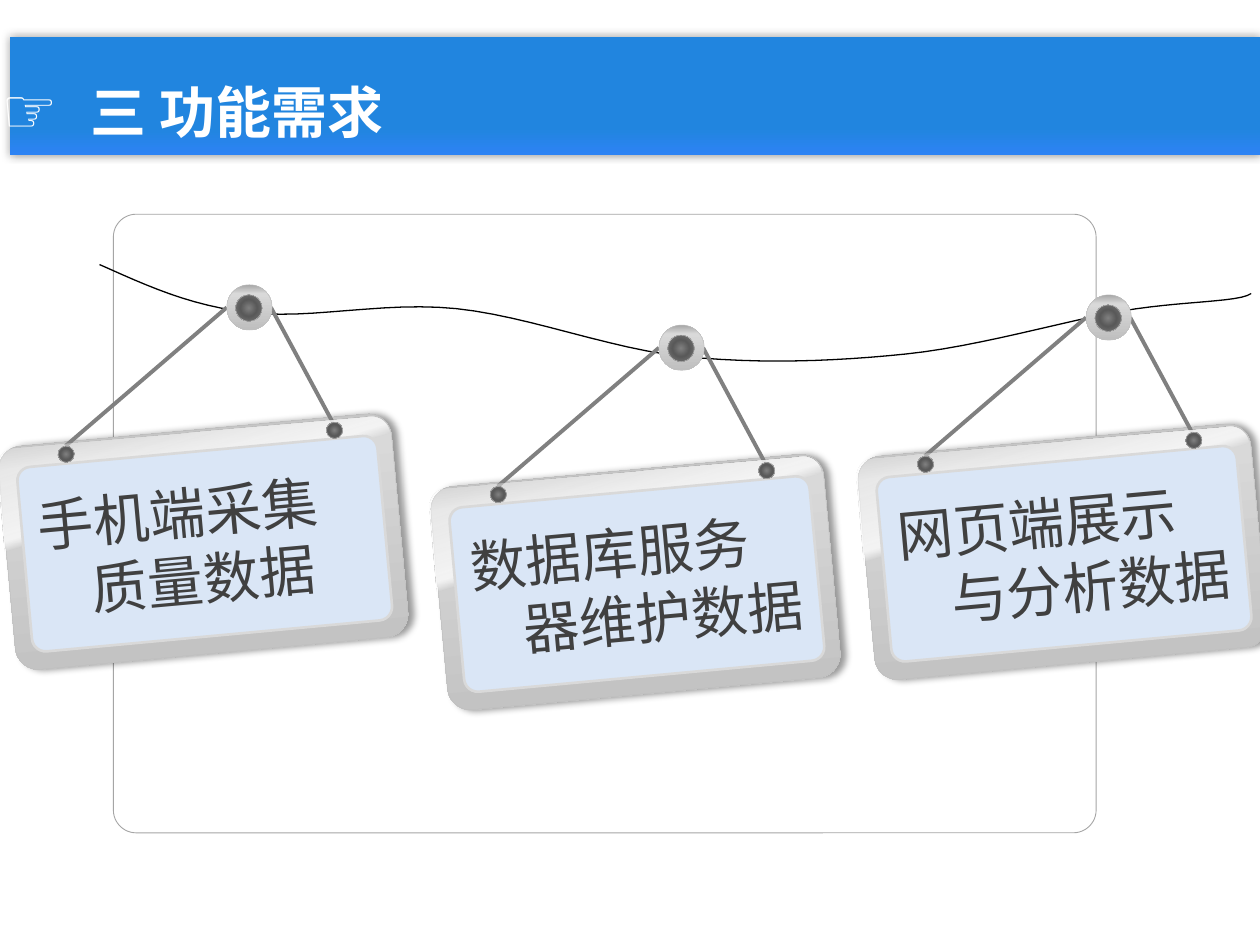
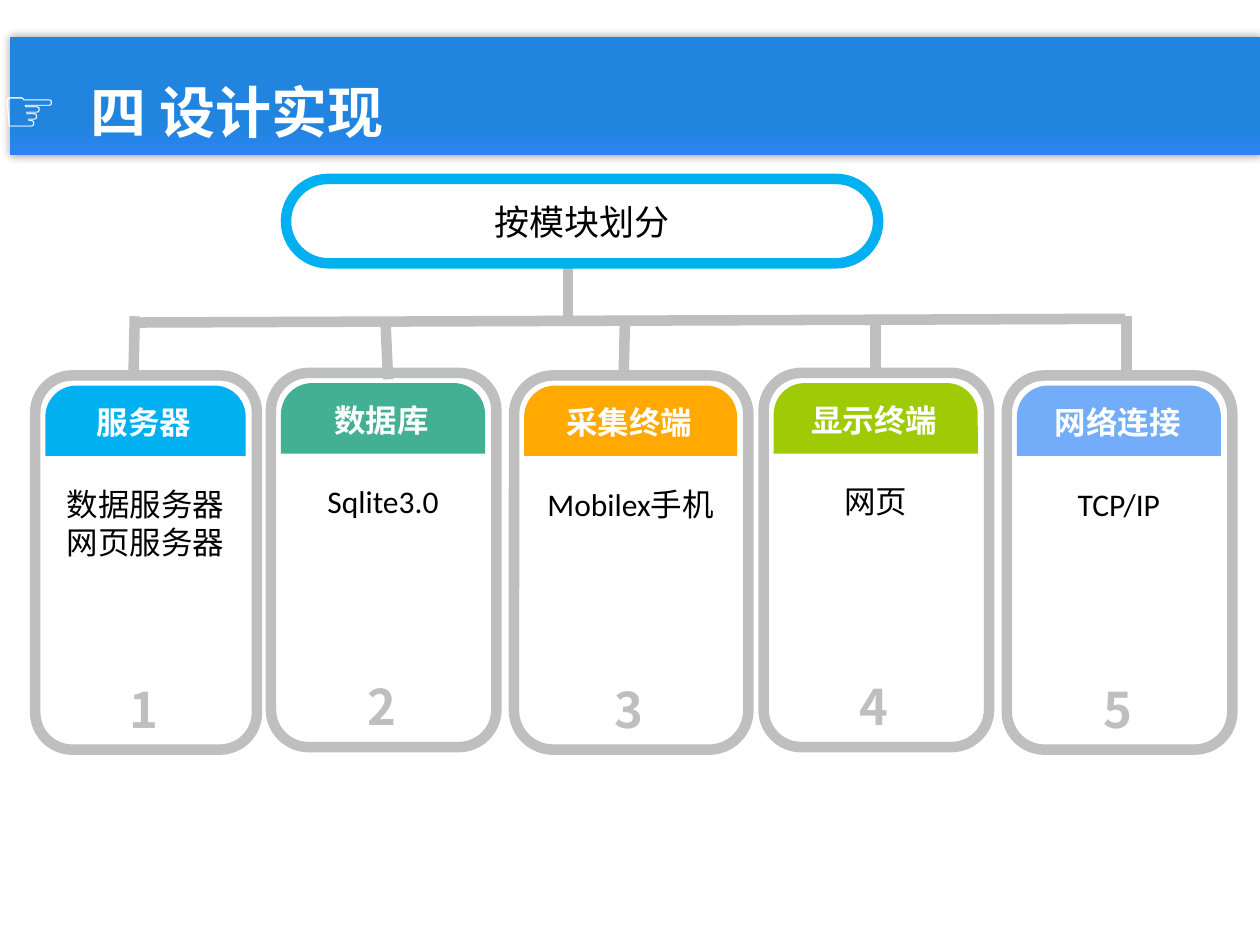
import pptx
import pptx.util
import pptx.oxml
import pptx.oxml.ns
import pptx.dml.color
import pptx.enum.shapes
import pptx.enum.text

Inches = pptx.util.Inches
Pt = pptx.util.Pt
SHAPE = pptx.enum.shapes.MSO_SHAPE
ALIGN = pptx.enum.text.PP_ALIGN
ANCHOR = pptx.enum.text.MSO_ANCHOR
qn = pptx.oxml.ns.qn
NS = 'xmlns:a="http://schemas.openxmlformats.org/drawingml/2006/main"'

COLORS = {
    "white": "FFFFFF", "black": "000000", "ink": "404040",
    "band": "2185DF", "band_end": "2D83F4",
    "outline": "A5A5A5", "metal_dark": "A6A6A6", "metal_light": "D9D9D9",
    "gray": "BFBFBF", "rope": "808080", "nail": "595959",
    "sheen": "F5F5F5", "panel": "DAE6F6",
    "server": "00B0F0", "database": "44B093", "collector": "FFA902",
    "display": "9ECA06", "network": "73ACF8",
}
CJK = "Noto Sans CJK SC"
TILT = 354.7

# Gradients: (direction XML, stops as position, colour, opacity)
PIN_FOCUS = ('<a:path path="circle">'
             '<a:fillToRect l="50000" t="50000" r="50000" b="50000"/></a:path>')
DOWN = '<a:lin ang="5400000" scaled="0"/>'
BAND = (DOWN, [(77, "band", 100), (100, "band_end", 100)])
METAL = (DOWN, [(0, "metal_dark", 100), (20, "metal_light", 100), (100, "gray", 100)])
PIN = (PIN_FOCUS, [(0, "rope", 100), (46, "nail", 100), (100, "rope", 100)])
SHEEN = ('<a:lin ang="4680000" scaled="0"/>',
         [(0, "white", 0), (48, "sheen", 100), (52, "white", 0)])


def rgb(name):
    return pptx.dml.color.RGBColor.from_string(COLORS[name])


def color_xml(name, opacity):
    return (f'<a:srgbClr {NS} val="{COLORS[name]}">'
            f'<a:alpha val="{opacity * 1000}"/></a:srgbClr>')


def fill_gradient(shape, gradient):
    direction, stops = gradient
    stop_xml = "".join(f'<a:gs pos="{position * 1000}">{color_xml(name, opacity)}</a:gs>'
                       for position, name, opacity in stops)
    element = pptx.oxml.parse_xml(
        f'<a:gradFill {NS} rotWithShape="1"><a:gsLst>{stop_xml}</a:gsLst>'
        f'{direction}</a:gradFill>')
    properties = shape._element.spPr
    properties.replace(properties.find(qn("a:solidFill")), element)


def add_part(page, kind, box, fill, line=None, adjust=None, turn=0, opacity=100):
    """Add a preset shape; fill is a colour name or a gradient."""
    shape = page.shapes.add_shape(kind, *(Inches(value) for value in box))
    shape.shadow.inherit = False
    shape.rotation = turn
    if adjust is not None:
        shape.adjustments[0] = adjust
    shape.fill.solid()
    if isinstance(fill, str):
        shape.fill.fore_color.rgb = rgb(fill)
        if opacity < 100:
            solid = shape._element.spPr.find(qn("a:solidFill"))
            solid.replace(solid[0], pptx.oxml.parse_xml(color_xml(fill, opacity)))
    else:
        fill_gradient(shape, fill)
    if line:
        shape.line.color.rgb = rgb(line[0])
        shape.line.width = Pt(line[1])
    else:
        shape.line.fill.background()
    return shape


def add_shadow(shape, blur, distance):
    effects = shape._element.spPr.find(qn("a:effectLst"))
    effects.append(pptx.oxml.parse_xml(
        f'<a:outerShdw {NS} blurRad="{Pt(blur)}" dist="{Pt(distance)}" dir="0" '
        f'algn="ctr" rotWithShape="0">{color_xml("black", 40)}</a:outerShdw>'))


def add_line(page, start, end, color, width):
    line = page.shapes.add_connector(
        pptx.enum.shapes.MSO_CONNECTOR.STRAIGHT,
        *(Inches(value) for value in (*start, *end)))
    line.line.color.rgb = rgb(color)
    line.line.width = Pt(width)
    line._element.spPr.append(pptx.oxml.parse_xml(f"<a:effectLst {NS}/>"))


def add_span(para, text, size, color, font, east=CJK, bold=False):
    span = para.add_run()
    span.text = text
    span.font.size = Pt(size)
    span.font.bold = bold
    span.font.color.rgb = rgb(color)
    span.font.name = font
    span._r.get_or_add_rPr().find(qn("a:latin")).addnext(
        pptx.oxml.parse_xml(f'<a:ea {NS} typeface="{east}"/>'))


def add_text(page, box, lines, size, color, font, bold=False):
    frame = page.shapes.add_textbox(*(Inches(value) for value in box)).text_frame
    frame.word_wrap = True
    for index, line in enumerate(lines):
        para = frame.add_paragraph() if index else frame.paragraphs[0]
        para.alignment = ALIGN.CENTER
        add_span(para, line, size, color, font, bold=bold)


def add_title(page, title):
    # Band
    band = add_part(page, SHAPE.RECTANGLE, (0.08, 0.29, 9.92, 0.94), BAND)
    add_shadow(band, 5, 0)
    # Pointing hand, then the title at a tab stop
    box = page.shapes.add_textbox(Inches(0.01), Inches(0.51), Inches(3.5), Inches(0.71))
    frame = box.text_frame
    frame.word_wrap = True
    frame.margin_left = 0
    para = frame.paragraphs[0]
    para._p.get_or_add_pPr().append(pptx.oxml.parse_xml(
        f'<a:tabLst {NS}><a:tab pos="{Inches(0.71)}" algn="l"/></a:tabLst>'))
    add_span(para, "☞", 36, "white", "DejaVu Sans", "DejaVu Sans", True)
    add_span(para, "\t" + title, 32, "white", "DejaVu Sans", bold=True)


def add_wire(page, points, steps=12):
    """Draw a smooth wire through cubic segments sharing their end points."""
    trace = []
    for first in range(0, len(points) - 1, 3):
        a, b, c, d = points[first:first + 4]
        for step in range(1, steps + 1):
            t = step / steps
            u = 1 - t
            trace.append(tuple(
                Inches(u**3 * a[i] + 3 * u * u * t * b[i] + 3 * u * t * t * c[i] + t**3 * d[i])
                for i in (0, 1)))
    builder = page.shapes.build_freeform(*(Inches(value) for value in points[0]))
    builder.add_line_segments(trace, close=False)
    wire = builder.convert_to_shape()
    wire.shadow.inherit = False
    wire.fill.background()
    wire.line.color.rgb = rgb("black")
    wire.line.width = Pt(0.75)


def add_sign(page, left, top, text):
    def place(x, y, width, height):
        return left + x, top + y, width, height

    edge = ("gray", 0.25)
    board = add_part(page, SHAPE.ROUNDED_RECTANGLE, place(0, 0, 3.13, 1.78),
                     METAL, edge, 0.104, TILT)
    add_shadow(board, 4, 3)
    # Ropes and hook
    for start, end in (((0.47, 0.13), (1.75, -0.97)), ((2.1, -0.97), (2.59, -0.06))):
        add_line(page, (left + start[0], top + start[1]),
                 (left + end[0], top + end[1]), "rope", 2.25)
    add_part(page, SHAPE.OVAL, place(1.75, -1.15, 0.36, 0.36), METAL, edge)
    add_part(page, SHAPE.OVAL, place(1.82, -1.07, 0.21, 0.21), PIN, edge)
    # Gloss and text panel
    add_part(page, SHAPE.ROUND_2_SAME_RECTANGLE, place(-0.05, 0.02, 3.12, 0.87),
             SHEEN, turn=354.9)
    panel = add_part(page, SHAPE.ROUNDED_RECTANGLE, place(0.14, 0.17, 2.87, 1.47),
                     "panel", ("metal_light", 1.5), 0.074, TILT)
    frame = panel.text_frame
    frame.word_wrap = True
    frame.vertical_anchor = ANCHOR.MIDDLE
    para = frame.paragraphs[0]
    para.alignment = ALIGN.LEFT
    properties = para._p.get_or_add_pPr()
    properties.set("marL", str(Inches(0.38)))
    properties.set("indent", str(Inches(-0.38)))
    add_span(para, text, 32, "ink", "Noto Sans CJK JP", "Noto Sans CJK JP")
    # Nails
    for x, y in ((0.41, 0.13), (2.54, -0.06)):
        add_part(page, SHAPE.OVAL, place(x, y, 0.13, 0.13), PIN, edge, turn=TILT)


def add_module(page, left, top, width, number, name, color, lines):
    def place(x, y, margin, height):
        return left + x, top + y, width - margin, height

    add_part(page, SHAPE.ROUNDED_RECTANGLE, place(0, 0, 0, 2.97), "white",
             ("gray", 6), 0.167)
    # Coloured tab, its lower half covered by the body
    add_part(page, SHAPE.ROUNDED_RECTANGLE, place(0.08, 0.08, 0.17, 1.01), color, adjust=0.245)
    add_part(page, SHAPE.RECTANGLE, place(0.07, 0.64, 0.15, 2.09), "white")
    add_text(page, place(0.14, 0.82, 0.29, 0.4), lines, 18, "black", "Calibri")
    add_text(page, place(0.13, 0.17, 0.29, 0.4), [name], 18, "white", "Calibri", True)
    add_text(page, place(0.13, 2.36, 0.29, 0.57), [str(number)], 28, "gray", CJK, True)


def build_requirements(page):
    add_part(page, SHAPE.ROUNDED_RECTANGLE, (0.9, 1.7, 7.8, 4.91), "white",
             ("outline", 0.5), 0.037, opacity=85)
    add_title(page, "三 功能需求")
    add_wire(page, [(0.79, 2.1), (1.15, 2.26), (1.51, 2.43), (1.98, 2.48),
                    (2.45, 2.54), (3.05, 2.39), (3.62, 2.45),
                    (4.2, 2.51), (4.84, 2.77), (5.43, 2.83),
                    (6.03, 2.89), (6.61, 2.87), (7.19, 2.81),
                    (7.77, 2.75), (8.44, 2.55), (8.9, 2.47),
                    (9.35, 2.39), (9.84, 2.4), (9.93, 2.33)])
    for left, top, text in ((0.05, 3.41, "手机端采集质量数据"),
                            (3.48, 3.73, "数据库服务器维护数据"),
                            (6.87, 3.49, "网页端展示与分析数据")):
        add_sign(page, left, top, text)


def build_design(page):
    add_title(page, "四 设计实现")
    # Module cards
    modules = [
        (0.28, 2.98, 1.76, "服务器", "server", ["数据服务器", "网页服务器"]),
        (2.15, 2.96, 1.79, "数据库", "database", ["Sqlite3.0"]),
        (4.08, 2.98, 1.86, "采集终端", "collector", ["Mobilex手机"]),
        (6.06, 2.96, 1.79, "显示终端", "display", ["网页"]),
        (7.99, 2.98, 1.79, "网络连接", "network", ["TCP/IP"]),
    ]
    for number, (left, top, width, name, color, lines) in enumerate(modules, 1):
        add_module(page, left, top, width, number, name, color, lines)
    # Tree lines: crossbar, five branches, trunk
    for start, end in (((1.06, 2.56), (8.93, 2.53)),
                       ((1.07, 2.51), (1.06, 2.96)),
                       ((3.06, 2.56), (3.08, 3.01)),
                       ((4.96, 2.55), (4.95, 2.96)),
                       ((6.95, 2.53), (6.95, 3)),
                       ((8.94, 2.51), (8.94, 2.98)),
                       ((4.51, 2.09), (4.51, 2.56))):
        add_line(page, start, end, "gray", 6)
    # Root
    root = add_part(page, SHAPE.ROUNDED_RECTANGLE, (2.27, 1.42, 4.7, 0.67), "white",
                    ("server", 6), 0.5, opacity=79)
    root.text_frame.vertical_anchor = ANCHOR.MIDDLE
    para = root.text_frame.paragraphs[0]
    para.alignment = ALIGN.CENTER
    add_span(para, "按模块划分", 20, "black", CJK)


def main():
    deck = pptx.Presentation()
    deck.slide_width = Inches(10)
    deck.slide_height = Inches(7.5)
    for build in (build_requirements, build_design):
        build(deck.slides.add_slide(deck.slide_layouts[6]))
    deck.save("out.pptx")


if __name__ == "__main__":
    main()
